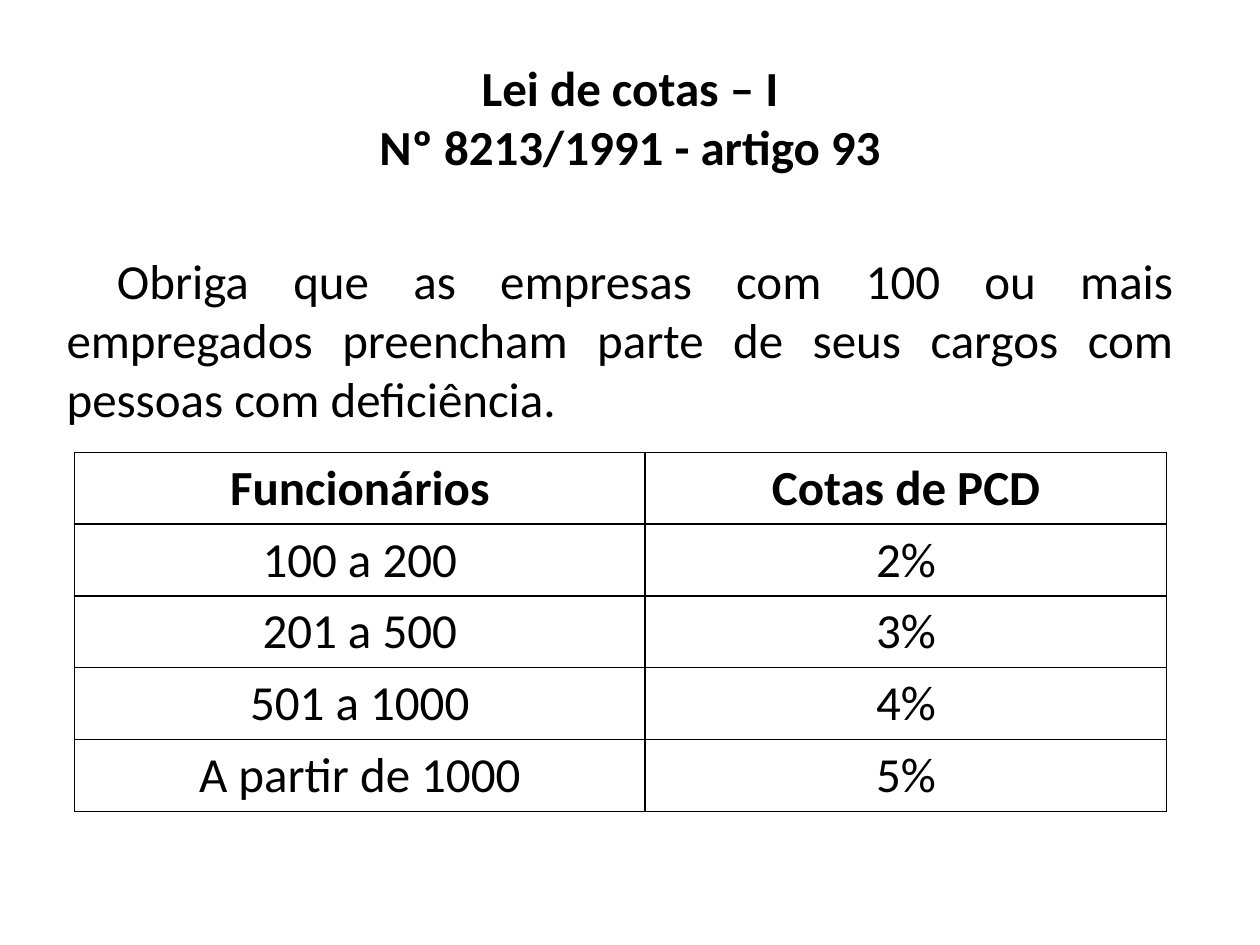
from dataclasses import dataclass

from lxml import etree
from pptx import Presentation
from pptx.dml.color import RGBColor
from pptx.enum.text import MSO_ANCHOR, PP_ALIGN
from pptx.oxml.ns import qn
from pptx.util import Inches, Pt

CENTER = PP_ALIGN.CENTER
JUSTIFY = PP_ALIGN.JUSTIFY
MIDDLE = MSO_ANCHOR.MIDDLE


@dataclass(frozen=True)
class Theme:
    font: str = "Calibri"
    size: Pt = Pt(28)
    ink: RGBColor = RGBColor(0, 0, 0)
    border_width: Pt = Pt(1)


THEME = Theme()

TITLE_LINES = ["Lei de cotas – I", "Nº 8213/1991 - artigo 93"]
RULE = ("Obriga que as empresas com 100 ou mais empregados preencham parte "
        "de seus cargos com pessoas com deficiência.")
QUOTAS = [
    ("Funcionários", "Cotas de PCD"),
    ("100 a 200", "2%"),
    ("201 a 500", "3%"),
    ("501 a 1000", "4%"),
    ("A partir de 1000", "5%"),
]


def style_paragraph(paragraph, alignment, bold=False):
    paragraph.alignment = alignment
    for run in paragraph.runs:
        run.font.name = THEME.font
        run.font.size = THEME.size
        run.font.bold = bold
        run.font.color.rgb = THEME.ink


def set_borders(cell):
    properties = cell._tc.get_or_add_tcPr()
    for position, side in enumerate(("lnL", "lnR", "lnT", "lnB")):
        line = etree.Element(qn(f"a:{side}"), w=str(THEME.border_width))
        fill = etree.SubElement(line, qn("a:solidFill"))
        etree.SubElement(fill, qn("a:srgbClr"), val=str(THEME.ink))
        properties.insert(position, line)


def add_title(slide, left, top, width, height):
    text_frame = slide.shapes.add_textbox(left, top, width, height).text_frame
    text_frame.word_wrap = True
    text_frame.vertical_anchor = MIDDLE
    paragraph = text_frame.paragraphs[0]
    for index, line in enumerate(TITLE_LINES):
        if index:
            paragraph.add_line_break()
        paragraph.add_run().text = line
    style_paragraph(paragraph, CENTER, bold=True)


def add_rule(slide, left, top, width, height):
    text_frame = slide.shapes.add_textbox(left, top, width, height).text_frame
    text_frame.word_wrap = True
    text_frame.text = RULE
    paragraph = text_frame.paragraphs[0]
    style_paragraph(paragraph, JUSTIFY)
    # First-line indent
    paragraph._p.get_or_add_pPr().set("indent", str(Inches(0.4)))


def add_quota_table(slide, left, top, column_widths, row_height):
    table = slide.shapes.add_table(
        len(QUOTAS), len(column_widths), left, top,
        sum(column_widths), row_height * len(QUOTAS)).table
    table.horz_banding = False
    for column, width in zip(table.columns, column_widths):
        column.width = width
    for row_index, values in enumerate(QUOTAS):
        table.rows[row_index].height = row_height
        for column_index, value in enumerate(values):
            cell = table.cell(row_index, column_index)
            cell.text_frame.text = value
            cell.vertical_anchor = MIDDLE
            cell.fill.background()
            set_borders(cell)
            style_paragraph(cell.text_frame.paragraphs[0], CENTER,
                            bold=row_index == 0)


def main():
    presentation = Presentation()
    presentation.slide_width = Inches(10)
    presentation.slide_height = Inches(7.5)
    slide = presentation.slides.add_slide(presentation.slide_layouts[6])

    add_title(slide, Inches(0.5), Inches(0.3), Inches(9), Inches(1.25))
    add_quota_table(slide, Inches(0.59), Inches(3.59),
                    [Inches(4.53), Inches(4.14)], Inches(0.57))
    add_rule(slide, Inches(0.43), Inches(1.94), Inches(8.98), Inches(1.51))

    presentation.save("out.pptx")


if __name__ == "__main__":
    main()
